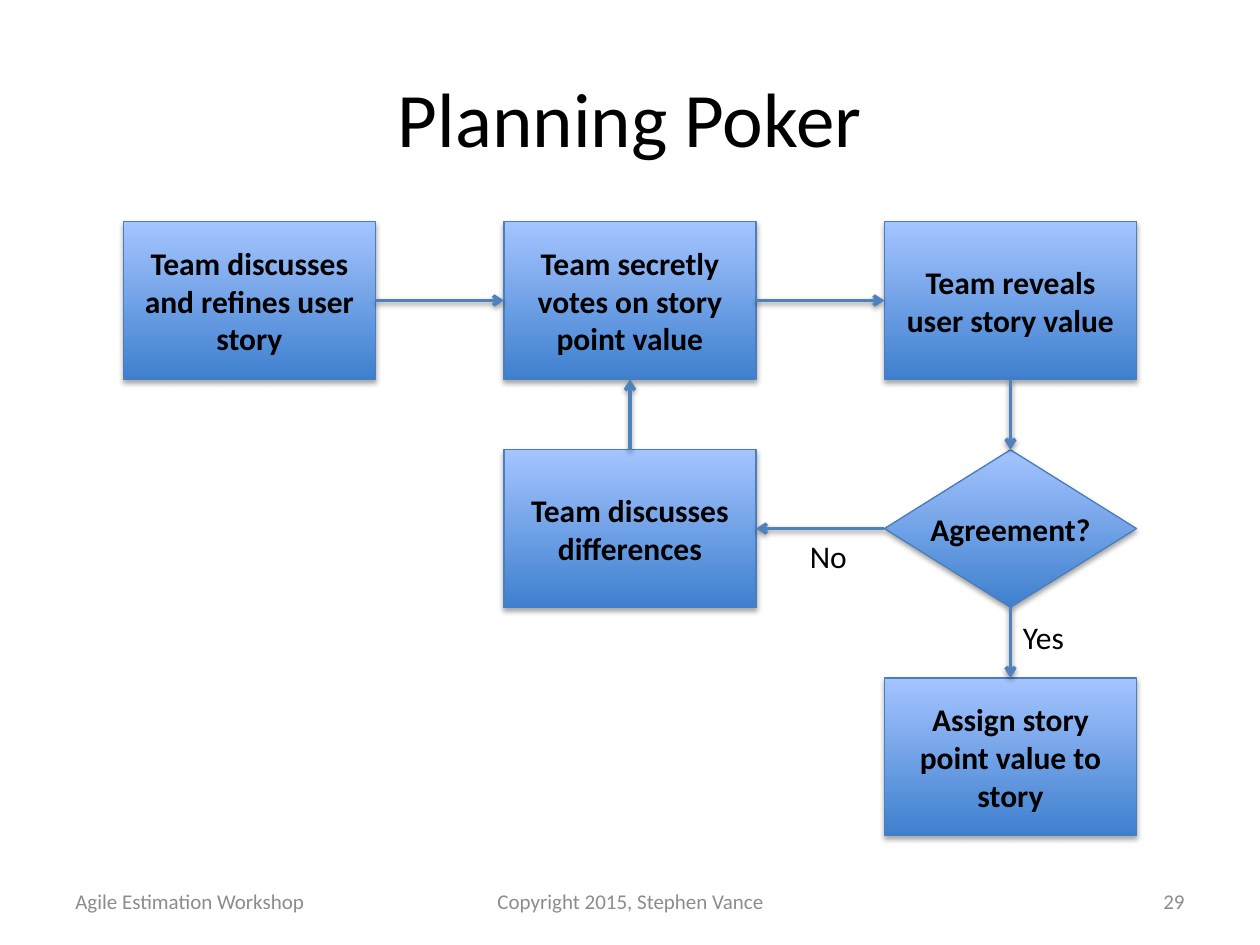
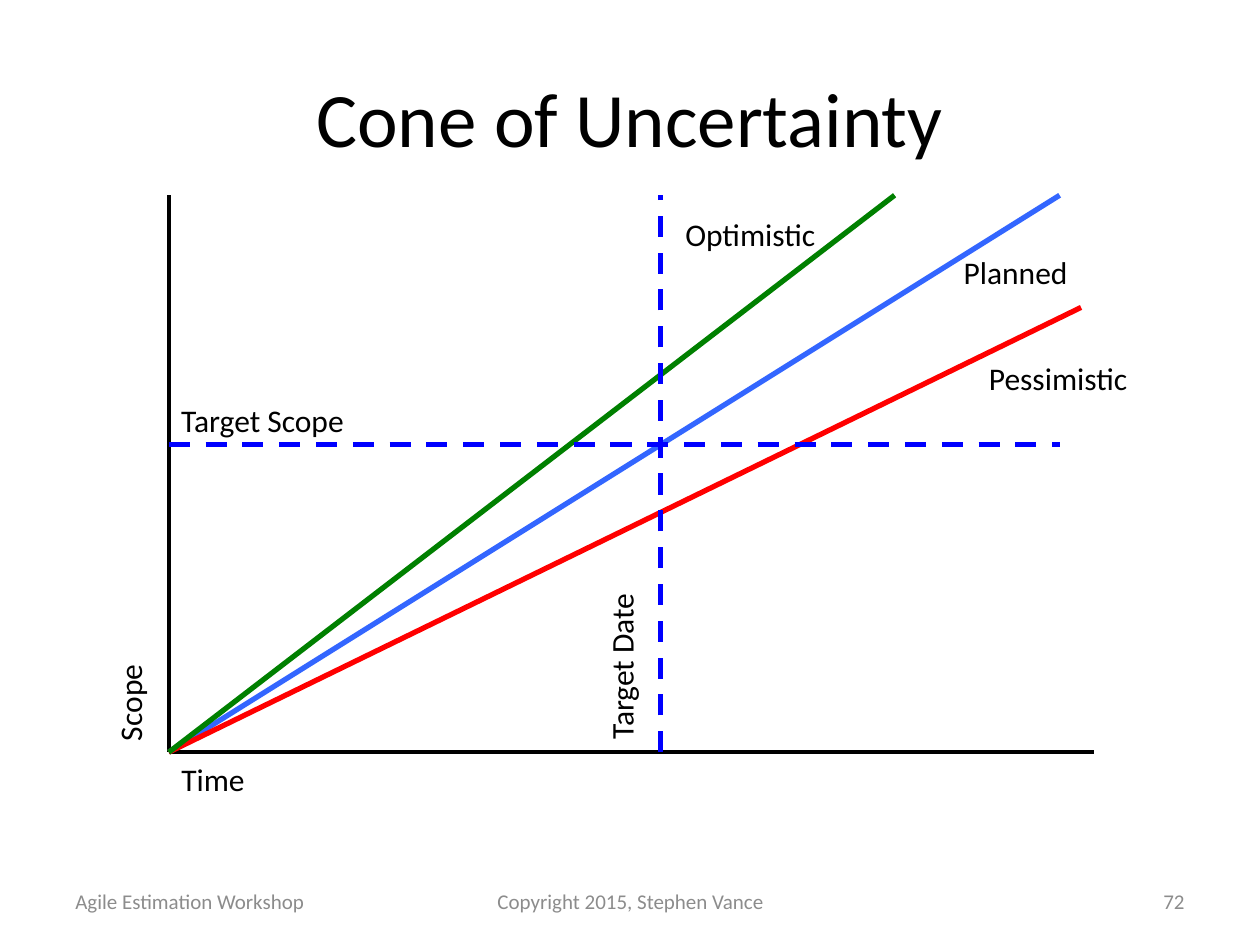
from dataclasses import dataclass

from lxml.etree import SubElement
from pptx import Presentation
from pptx.dml.color import RGBColor
from pptx.enum.dml import MSO_LINE
from pptx.enum.shapes import MSO_CONNECTOR, MSO_SHAPE
from pptx.enum.text import MSO_ANCHOR as Anchor, PP_ALIGN as Align
from pptx.oxml.ns import qn
from pptx.util import Emu, Inches, Pt


@dataclass(frozen=True)
class Theme:
    font: str = "Calibri"
    title_size: int = 44
    body_size: int = 18
    footer_size: int = 12
    text: str = "000000"
    footer: str = "8C8C8C"
    box_bottom: str = "3F80CE"
    box_top: str = "A4C4FF"
    box_line: str = "4B7EBC"
    arrow: str = "4F81BD"
    planned: str = "3366FF"
    pessimistic: str = "FF0000"
    optimistic: str = "008000"
    target: str = "0000FF"


THEME = Theme()
SLIDE_WIDTH, SLIDE_HEIGHT = 10, 7.5
TOP, BOTTOM, LEFT, RIGHT = 0, 2, 1, 3  # connection sites: top, bottom, left, right
TOP, LEFT, BOTTOM, RIGHT = range(4)

# Shared footer: text, left, width, alignment
FOOTERS = [
    ("Agile Estimation Workshop", 0.5, 2.33, Align.LEFT),
    ("Copyright 2015, Stephen Vance", 3.42, 3.17, Align.CENTER),
]
NUMBER_LEFT, NUMBER_WIDTH = 7.17, 2.33

# Flow chart: key -> (text, column, row, shape)
BOX = MSO_SHAPE.FLOWCHART_PROCESS
STEPS = {
    "discuss": ("Team discusses and refines user story", 0, 0, BOX),
    "vote": ("Team secretly votes on story point value", 1, 0, BOX),
    "reveal": ("Team reveals user story value", 2, 0, BOX),
    "agree": ("Agreement?", 2, 1, MSO_SHAPE.FLOWCHART_DECISION),
    "assign": ("Assign story point value to story", 2, 2, BOX),
    "differ": ("Team discusses differences", 1, 1, BOX),
}
ARROWS = [
    ("discuss", RIGHT, "vote", LEFT),
    ("vote", RIGHT, "reveal", LEFT),
    ("reveal", BOTTOM, "agree", TOP),
    ("agree", LEFT, "differ", RIGHT),
    ("differ", TOP, "vote", BOTTOM),
    ("agree", BOTTOM, "assign", TOP),
]
STEP_WIDTH, STEP_HEIGHT = 2, 1.25
COLUMN_PITCH, ROW_PITCH, FIRST_ROW = 3.02, 1.81, 1.76
# Label: text, left, top, width, height, vertical
FLOW_LABELS = [
    ("Yes", 8.02, 4.86, 0.55, 0.4, False),
    ("No", 6.33, 4.21, 0.5, 0.4, False),
]

# Cone chart: distances run right and up from the origin of the axes
ORIGIN_X, ORIGIN_Y = 1.34, 5.97
AXIS_WIDTH, AXIS_HEIGHT = 7.34, 4.42
PLANNED_WIDTH, TARGET_SCOPE, TARGET_DATE = 7.07, 2.44, 3.9
# Line: start, end, colour, width, dashed
CONE_LINES = [
    ((0, AXIS_HEIGHT), (0, 0), THEME.text, 2, False),
    ((0, 0), (AXIS_WIDTH, 0), THEME.text, 2, False),
    ((0, 0), (PLANNED_WIDTH, AXIS_HEIGHT), THEME.planned, 3, False),
    ((0, 0), (7.24, 3.53), THEME.pessimistic, 3, False),
    ((0, 0), (5.76, AXIS_HEIGHT), THEME.optimistic, 3, False),
    ((0, TARGET_SCOPE), (PLANNED_WIDTH, TARGET_SCOPE), THEME.target, 3, True),
    ((TARGET_DATE, 0), (TARGET_DATE, AXIS_HEIGHT), THEME.target, 3, True),
]
CONE_LABELS = [
    ("Planned", 7.55, 1.96, 1.03, 0.4, False),
    ("Optimistic", 5.34, 1.66, 1.25, 0.4, False),
    ("Pessimistic", 7.75, 2.8, 1.32, 0.4, False),
    ("Time", ORIGIN_X, 5.98, 0.71, 0.4, False),
    ("Scope", 0.83, 5.26, 0.5, 0.72, True),
    ("Target Scope", ORIGIN_X, 3.13, 1.53, 0.4, False),
    ("Target Date", 4.73, 4.66, 0.5, 1.31, True),
]


# Shared helpers
def inches(*lengths):
    return [Inches(length) for length in lengths]


def write(shape, text, size, color=THEME.text, align=Align.LEFT,
          anchor=Anchor.MIDDLE, bold=False, wrap=True):
    frame = shape.text_frame
    frame.text = text
    frame.word_wrap = wrap
    frame.vertical_anchor = anchor
    paragraph = frame.paragraphs[0]
    paragraph.alignment = align
    font = paragraph.runs[0].font
    font.name, font.size, font.bold = THEME.font, Pt(size), bold
    font.color.rgb = RGBColor.from_string(color)


def set_effects(shape, shadow=None):
    """Replace the theme shadow by (opacity %, blur pt, distance pt), or none."""
    effects = SubElement(shape._element.spPr, qn("a:effectLst"))
    if shadow:
        opacity, blur, distance = shadow
        outer = SubElement(effects, qn("a:outerShdw"), blurRad=str(Pt(blur)),
                           dist=str(Pt(distance)), dir="5400000", rotWithShape="0")
        color = SubElement(outer, qn("a:srgbClr"), val="000000")
        SubElement(color, qn("a:alpha"), val=str(opacity * 1000))


def add_line(slide, start, end, color, width, dashed=False, shadow=None):
    line = slide.shapes.add_connector(MSO_CONNECTOR.STRAIGHT, *inches(*start, *end))
    line.line.color.rgb = RGBColor.from_string(color)
    line.line.width = Pt(width)
    if dashed:
        line.line.dash_style = MSO_LINE.DASH
    set_effects(line, shadow)
    return line


def add_labels(slide, labels):
    for text, left, top, width, height, vertical in labels:
        label = slide.shapes.add_textbox(*inches(left, top, width, height))
        write(label, text, THEME.body_size, anchor=Anchor.TOP, wrap=False)
        if vertical:
            label.text_frame._txBody.bodyPr.set("vert", "vert270")


def add_slide(presentation, title, number):
    slide = presentation.slides.add_slide(presentation.slide_layouts[5])
    heading = slide.shapes.title
    heading.left, heading.top, heading.width, heading.height = inches(0.5, 0.3, 9, 1.25)
    write(heading, title, THEME.title_size, align=Align.CENTER)
    number_part = (str(number), NUMBER_LEFT, NUMBER_WIDTH, Align.RIGHT)
    for text, left, width, align in FOOTERS + [number_part]:
        footer = slide.shapes.add_textbox(*inches(left, 6.95, width, 0.4))
        write(footer, text, THEME.footer_size, THEME.footer, align)
    return slide


# Flow chart slide
def add_step(slide, text, column, row, kind):
    left = (SLIDE_WIDTH - STEP_WIDTH) / 2 + (column - 1) * COLUMN_PITCH
    top = FIRST_ROW + row * ROW_PITCH
    step = slide.shapes.add_shape(kind, *inches(left, top, STEP_WIDTH, STEP_HEIGHT))
    step.fill.gradient()
    step.fill.gradient_angle = 90
    for stop, color in zip(step.fill.gradient_stops, (THEME.box_bottom, THEME.box_top)):
        stop.color.rgb = RGBColor.from_string(color)
    for stop, position in zip(step.fill.gradient_stops, (0, 1)):
        stop.position = position
    step.line.color.rgb = RGBColor.from_string(THEME.box_line)
    step.line.width = Pt(0.75)
    set_effects(step, (35, 3.1, 1.8))
    write(step, text, THEME.body_size, align=Align.CENTER, bold=True, wrap=kind == BOX)
    return step


def build_planning_poker(presentation):
    slide = add_slide(presentation, "Planning Poker", 29)
    steps = {key: add_step(slide, *step) for key, step in STEPS.items()}
    for source, source_side, target, target_side in ARROWS:
        arrow = add_line(slide, (0, 0), (1, 1), THEME.arrow, 2, shadow=(38, 3.1, 1.6))
        arrow.begin_connect(steps[source], source_side)
        arrow.end_connect(steps[target], target_side)
        SubElement(arrow.line._get_or_add_ln(), qn("a:tailEnd"), type="arrow")
    add_labels(slide, FLOW_LABELS)


# Cone chart slide
def build_cone(presentation):
    slide = add_slide(presentation, "Cone of Uncertainty", 72)
    for start, end, *style in CONE_LINES:
        points = [(ORIGIN_X + x, ORIGIN_Y - y) for x, y in (start, end)]
        add_line(slide, *points, *style)
    add_labels(slide, CONE_LABELS)


def main():
    presentation = Presentation()
    presentation.slide_width = Inches(SLIDE_WIDTH)
    presentation.slide_height = Inches(SLIDE_HEIGHT)
    build_planning_poker(presentation)
    build_cone(presentation)
    presentation.save("out.pptx")


if __name__ == "__main__":
    main()
